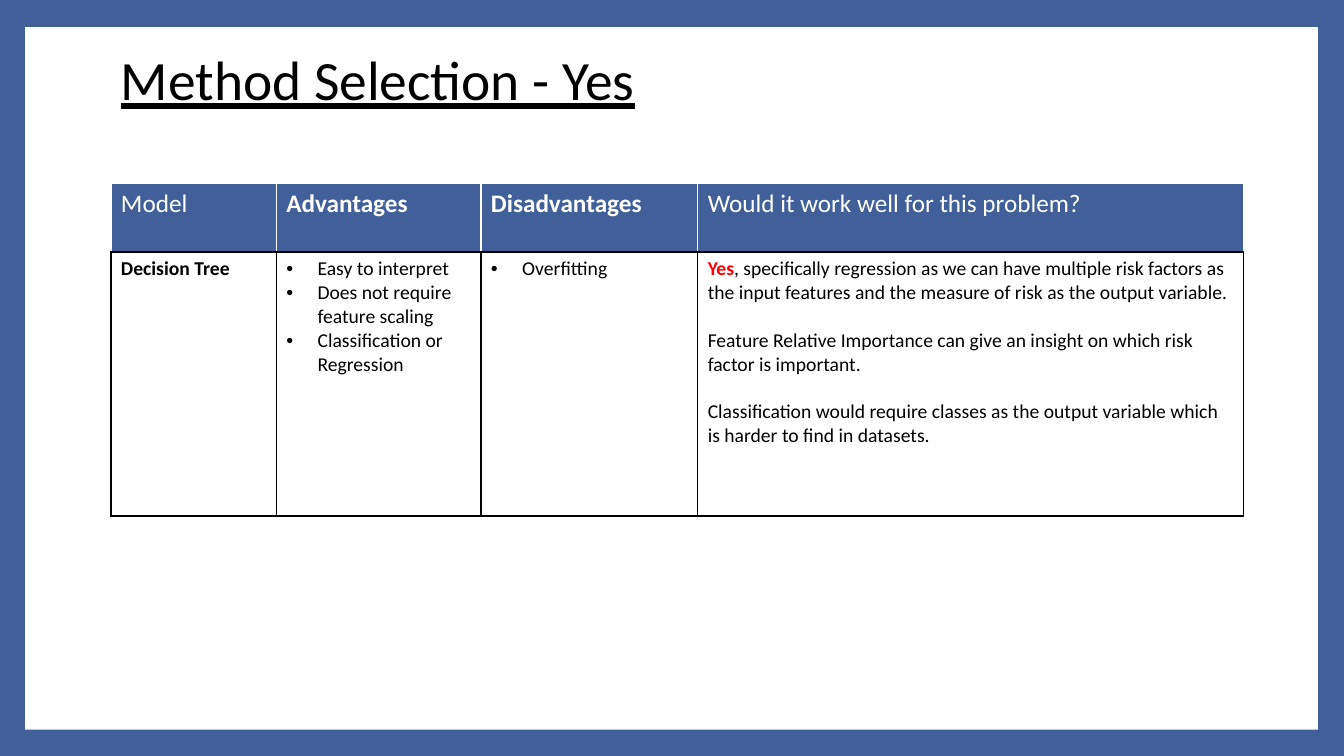
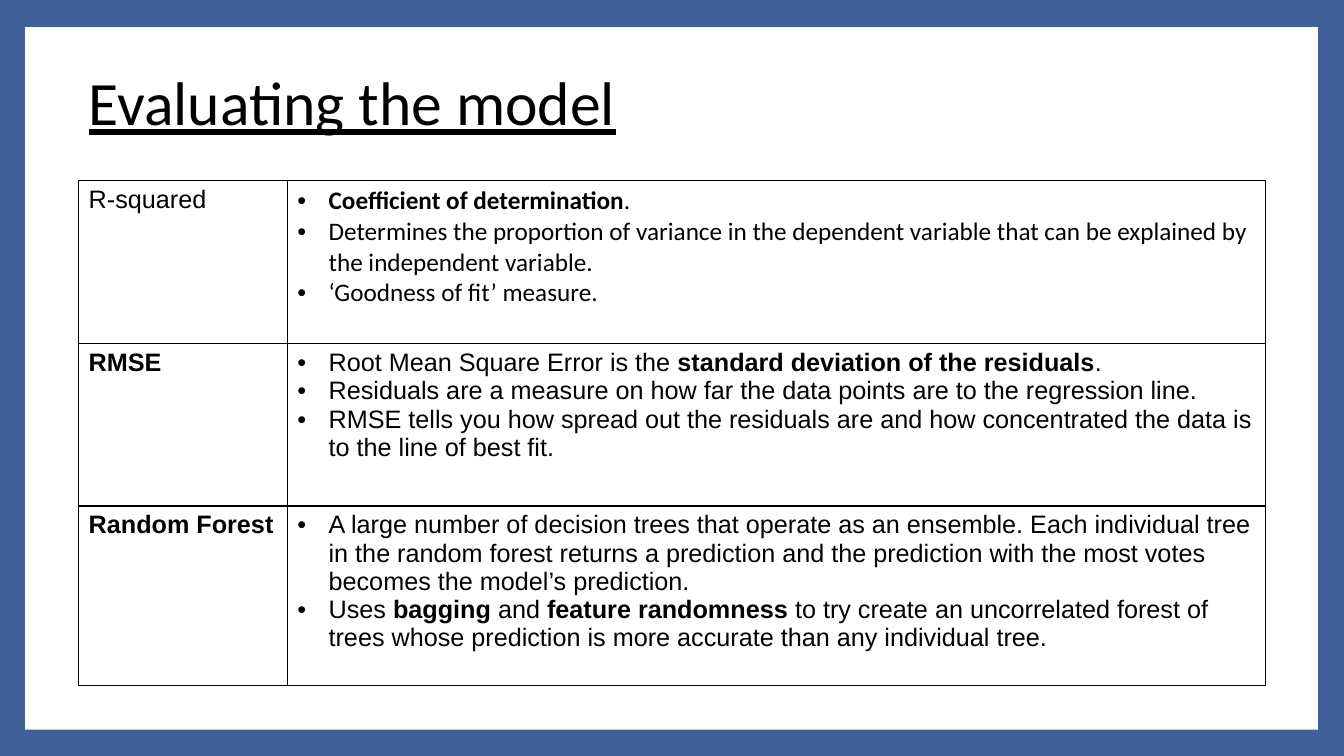
from dataclasses import dataclass

from lxml.etree import SubElement as Sub
from pptx import Presentation
from pptx.dml.color import RGBColor as Rgb
from pptx.enum.shapes import MSO_SHAPE as Form
from pptx.enum.text import MSO_ANCHOR as Anchor, MSO_AUTO_SIZE as Auto, PP_ALIGN as Align
from pptx.oxml.ns import qn
from pptx.util import Inches, Pt

BLUE = Rgb(0x41, 0x60, 0x99)
WHITE = Rgb(0xFF, 0xFF, 0xFF)
BLACK = Rgb(0, 0, 0)
RED = Rgb(0xFF, 0, 0)


@dataclass
class Run:
    text: str
    bold: bool = False
    color: Rgb = None


@dataclass
class Cell:
    paras: list
    font: str = "Calibri"
    size: float = 18
    color: Rgb = BLACK
    fill: Rgb = WHITE
    edge: Rgb = BLACK
    bullet: bool = False
    gap: float = 0


class Deck:
    """Holds the shared style and the current slide."""

    def __init__(self):
        self.show = Presentation()
        self.show.slide_width = Inches(13.33)
        self.show.slide_height = Inches(7.5)
        fill = self.show.slide_master.background.fill
        fill.solid()
        fill.fore_color.rgb = BLUE
        self.slide = None

    def page(self):
        self.slide = self.show.slides.add_slide(self.show.slide_layouts[5])
        self.panel()

    def panel(self):
        shapes = self.slide.shapes
        panel = shapes.add_shape(
            Form.RECTANGLE, Inches(0.25), Inches(0.27), Inches(12.82), Inches(6.97))
        panel.shadow.inherit = False
        panel.fill.solid()
        panel.fill.fore_color.rgb = WHITE
        panel.line.fill.background()
        shapes.title.element.addprevious(panel.element)

    def title(self, text, box, size):
        shape = self.slide.shapes.title
        shape.left, shape.top, shape.width, shape.height = map(Inches, box)
        frame = shape.text_frame
        frame.auto_size = Auto.NONE
        frame.word_wrap = True
        frame.vertical_anchor = Anchor.MIDDLE
        para = frame.paragraphs[0]
        para.alignment = Align.LEFT
        para.line_spacing = 0.9
        self.run(para, Run(text), "Calibri", size, BLACK).underline = True

    def run(self, para, item, face, size, color):
        run = para.add_run()
        run.text = item.text
        font = run.font
        font.name = face
        font.size = Pt(size)
        font.bold = item.bold
        font.color.rgb = item.color or color
        return font

    def bullet(self, para):
        props = para._p.get_or_add_pPr()
        props.set("marL", str(Inches(0.31)))
        props.set("indent", str(-Inches(0.31)))
        tint = Sub(props, qn("a:buClr"))
        Sub(tint, qn("a:srgbClr"), val=str(BLACK))
        Sub(props, qn("a:buFont"), typeface="Arial")
        Sub(props, qn("a:buChar"), char="•")

    def border(self, cell, colors):
        props = cell._tc.get_or_add_tcPr()
        for spot, (side, color) in enumerate(zip("LRTB", colors)):
            line = Sub(props, qn("a:ln" + side), w=str(Pt(1)))
            fill = Sub(line, qn("a:solidFill"))
            Sub(fill, qn("a:srgbClr"), val=str(color))
            props.insert(spot, line)

    def cell(self, cell, data):
        cell.fill.solid()
        cell.fill.fore_color.rgb = data.fill
        self.border(cell, [data.edge] * 3 + [BLACK])
        frame = cell.text_frame
        for spot, items in enumerate(data.paras):
            para = frame.add_paragraph() if spot else frame.paragraphs[0]
            para.space_after = Pt(data.gap)
            if data.bullet:
                self.bullet(para)
            for item in items:
                self.run(para, item, data.font, data.size, data.color)

    def table(self, left, top, cols, rows, cells):
        table = self.slide.shapes.add_table(
            len(rows), len(cols), Inches(left), Inches(top),
            Inches(sum(cols)), Inches(sum(rows))).table
        table.first_row = table.horz_banding = False
        for col, width in zip(table.columns, cols):
            col.width = Inches(width)
        for row, height, line in zip(table.rows, rows, cells):
            row.height = Inches(height)
            for cell, data in zip(row.cells, line):
                self.cell(cell, data)


def plain(*texts):
    return [[Run(text)] for text in texts]


def bold(text):
    return [[Run(text, True)]]


def head(paras):
    return Cell(paras, color=WHITE, fill=BLUE, edge=WHITE)


def points(paras, font="Arial", size=18):
    return Cell(paras, font, size, bullet=True)


def method(deck):
    deck.page()
    deck.title("Method Selection - Yes", (1.1, 0.4, 5.8, 0.84), 39.6)
    heads = [plain("Model"), bold("Advantages"), bold("Disadvantages"),
             plain("Would it work well for this problem?")]
    verdict = [
        [Run("Yes", True, RED),
         Run(", specifically regression as we can have multiple risk factors as "
             "the input features and the measure of risk as the output variable.")],
        *plain("Feature Relative Importance can give an insight on which risk factor is important.",
               "Classification would require classes as the output variable which is harder "
               "to find in datasets.")]
    tree = [
        Cell(bold("Decision Tree"), size=14),
        points(plain("Easy to interpret", "Does not require feature scaling",
                     "Classification or Regression"), "Calibri", 14),
        points(plain("Overfitting"), "Calibri", 14),
        Cell(verdict, size=14, gap=17.1)]
    deck.table(1.1, 1.82, [1.64, 2.03, 2.15, 5.41], [0.68, 2.62],
               [[head(paras) for paras in heads], tree])


def review(deck):
    deck.page()
    deck.title("Evaluating the model", (0.78, 0.31, 10.8, 1.48), 44)
    square = points([
        [Run("Coefficient of determination", True), Run(".")],
        *plain("Determines the proportion of variance in the dependent variable that can be "
               "explained by the independent variable.",
               "‘Goodness of fit’ measure.")], "Calibri")
    error = points([
        [Run("Root Mean Square Error is the "),
         Run("standard deviation of the residuals", True), Run(".")],
        *plain("Residuals are a measure on how far the data points are to the regression line.",
               "RMSE tells you how spread out the residuals are and how concentrated the data "
               "is to the line of best fit.")])
    forest = points([
        *plain("A large number of decision trees that operate as an ensemble. Each individual "
               "tree in the random forest returns a prediction and the prediction with the most "
               "votes becomes the model’s prediction."),
        [Run("Uses "), Run("bagging ", True), Run("and"), Run(" feature randomness ", True),
         Run("to try create an uncorrelated forest of trees whose prediction is more accurate "
             "than any individual tree.")]])
    deck.table(0.78, 1.79, [2.07, 9.7], [1.62, 1.61, 1.78],
               [[Cell(plain("R-squared"), "Arial"), square],
                [Cell(bold("RMSE"), "Arial"), error],
                [Cell(bold("Random Forest"), "Arial"), forest]])


def main():
    deck = Deck()
    method(deck)
    review(deck)
    deck.show.save("out.pptx")


if __name__ == "__main__":
    main()
